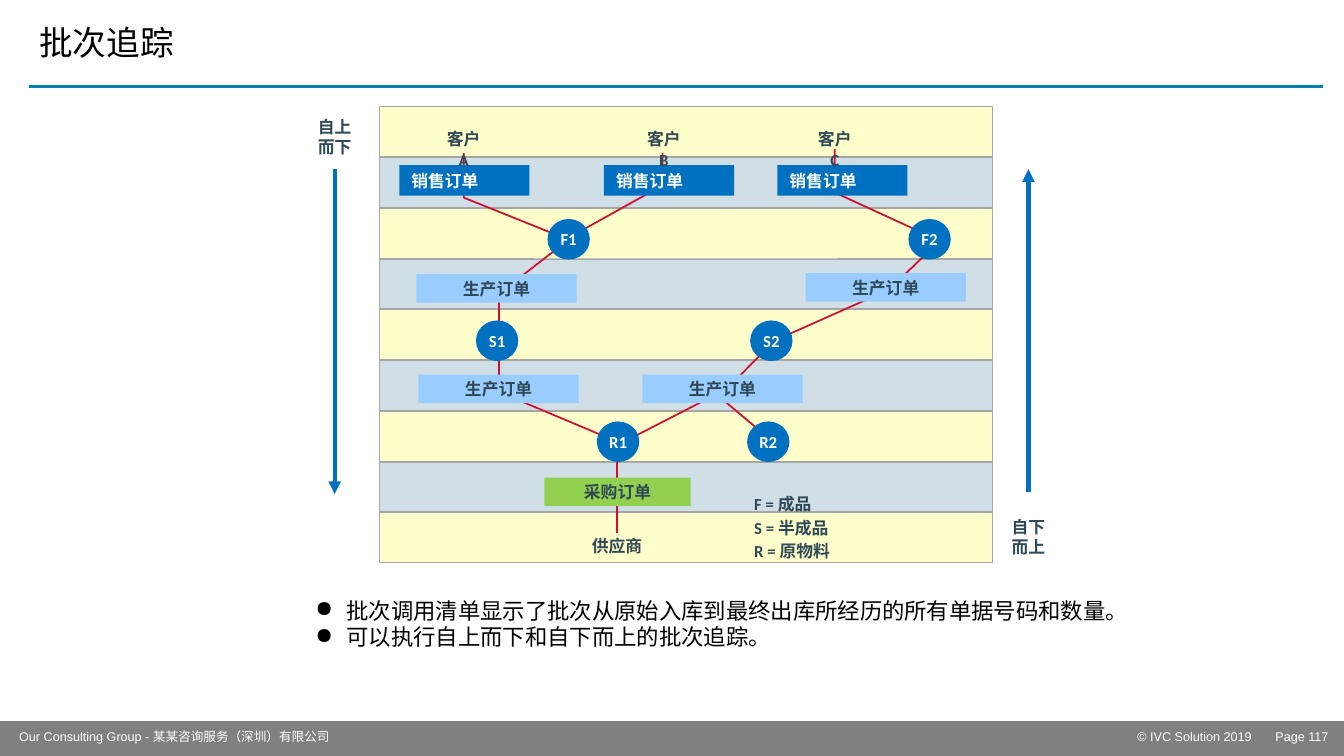
from dataclasses import dataclass

from lxml import etree
from pptx import Presentation
from pptx import util as u
from pptx.dml.color import RGBColor
from pptx.enum import shapes, text
from pptx.oxml.ns import qn

COLORS = {
    "ink": "2F4957", "black": "000000", "white": "FFFFFF", "footer": "808080",
    "rule": "0082B0", "cream": "FFFFCC", "mist": "D0DEE6", "border": "A6A6A6",
    "blue": "0070C0", "sky": "99CCFF", "green": "92D050", "red": "CF0E30",
}
WIDTH, HEIGHT = 13.33, 7.5
BANDS = 9
LEFT, CENTER = text.PP_ALIGN.LEFT, text.PP_ALIGN.CENTER
RECT, OVAL = shapes.MSO_SHAPE.RECTANGLE, shapes.MSO_SHAPE.OVAL


@dataclass(frozen=True)
class Grid:
    left: float
    top: float
    column: float
    row: float

    def point(self, col: float, row: float) -> tuple:
        return u.Inches(self.left + col * self.column), u.Inches(self.top + row * self.row)

    def box(self, col: float, row: float, cols: float, rows: float) -> tuple:
        return *self.point(col, row), u.Inches(cols * self.column), u.Inches(rows * self.row)


PAGE = Grid(0, 0, WIDTH / 100, HEIGHT / 100)  # percent of the slide
TRACE = Grid(3.76, 1.06, 0.25, 4.53 / BANDS)  # one row per band


@dataclass(frozen=True)
class Kind:
    preset: int
    cols: float
    rows: float
    fill: str
    font: str
    align: int = CENTER
    indent: float = 0


@dataclass(frozen=True)
class Step:
    """A document or material: left column and middle row."""
    kind: Kind
    label: str
    col: float
    row: float


@dataclass(frozen=True)
class Caption:
    label: str
    col: float
    row: float
    cols: float
    rows: float = 0.4
    align: int = CENTER
    wrap: bool = True
    gap: float = 0


SALES = Kind(RECT, 5.16, 0.6, "blue", "white", LEFT, 0.12)
PRODUCTION = Kind(RECT, 6.36, 0.56, "sky", "ink")
PURCHASE = Kind(RECT, 5.8, 0.56, "green", "ink")
MATERIAL = Kind(OVAL, 1.68, 0.8, "blue", "white")

STEPS = [
    *(Step(SALES, "销售订单", col, 1.45) for col in (0.8, 8.92, 15.8)),
    Step(MATERIAL, "F1", 6.68, 2.61), Step(MATERIAL, "F2", 21, 2.61),
    Step(PRODUCTION, "生产订单", 1.48, 3.58), Step(PRODUCTION, "生产订单", 16.92, 3.56),
    Step(MATERIAL, "S1", 3.84, 4.61), Step(MATERIAL, "S2", 14.72, 4.61),
    Step(PRODUCTION, "生产订单", 1.56, 5.56), Step(PRODUCTION, "生产订单", 10.44, 5.56),
    Step(MATERIAL, "R1", 8.64, 6.6), Step(MATERIAL, "R2", 14.6, 6.6),
    Step(PURCHASE, "采购订单", 6.56, 7.59),
]
CAPTIONS = [
    Caption("客户 A", 2.48, 0.44, 1.76),
    Caption("客户 B", 10.42, 0.44, 1.76),
    Caption("客户 C", 17.2, 0.44, 1.76),
    Caption("供应商", 8.44, 8.46, 2, wrap=False),
    Caption("自上\n而下", -2.44, 0.2, 1.36, 0.79, wrap=False),
    Caption("自下\n而上", 25.08, 8.07, 1.36, 0.79, wrap=False),
    Caption("F = 成品\nS = 半成品\nR = 原物料", 14.88, 7.63, 8.96, 1.37, LEFT, gap=2.4),
]
TRACES = [
    [(11.24, 0.91), (11.24, 1.55), (7.52, 2.58)],
    [(9.64, 6.62), (13.8, 5.56), (15.68, 4.61), (20.24, 3.6), (22.24, 2.64),
     (18.08, 1.69), (18.08, 0.83)],
    [(9.44, 8.4), (9.44, 6.6), (4.76, 5.62), (4.76, 3.68), (7.52, 2.62),
     (3.36, 1.79), (3.36, 0.91)],
]
FINDINGS = "批次调用清单显示了批次从原始入库到最终出库所经历的所有单据号码和数量。\n可以执行自上而下和自下而上的批次追踪。"


def rgb(name: str) -> RGBColor:
    return RGBColor.from_string(COLORS[name])


def write(frame, words: str, size: float, color: str, align=LEFT, bold=False,
          face="Calibri", east="Calibri", gap: float = 0) -> None:
    frame.text = words
    for index, paragraph in enumerate(frame.paragraphs):
        paragraph.alignment = align
        if gap and index:
            paragraph.space_before = u.Pt(gap)
        for run in paragraph.runs:
            run.font.size, run.font.bold, run.font.name = u.Pt(size), bold, face
            run.font.color.rgb = rgb(color)
            etree.SubElement(run.font._element, qn("a:ea"), typeface=east)


def inset(frame, left: float, top: float, right: float, bottom: float) -> None:
    frame.margin_left, frame.margin_top = u.Inches(left), u.Inches(top)
    frame.margin_right, frame.margin_bottom = u.Inches(right), u.Inches(bottom)


def add_block(slide, preset, box: tuple, fill: str, border: str = ""):
    block = slide.shapes.add_shape(preset, *box)
    block.shadow.inherit = False
    block.fill.solid()
    block.fill.fore_color.rgb = rgb(fill)
    if border:
        block.line.color.rgb = rgb(border)
        block.line.width = u.Pt(0.63)
    else:
        block.line.fill.background()
    return block


def add_line(slide, start: tuple, end: tuple, color: str, width: float, arrow=False) -> None:
    line = slide.shapes.add_connector(shapes.MSO_CONNECTOR.STRAIGHT, *start, *end)
    line.line.color.rgb = rgb(color)
    line.line.width = u.Pt(width)
    if arrow:
        etree.SubElement(line.line._get_or_add_ln(), qn("a:tailEnd"), type="triangle")
    etree.SubElement(line._element.spPr, qn("a:effectLst"))


def add_trace(slide, stops: list) -> None:
    first, *others = [TRACE.point(*stop) for stop in stops]
    builder = slide.shapes.build_freeform(*first)
    builder.add_line_segments(others, close=False)
    trace = builder.convert_to_shape()
    trace.shadow.inherit = False
    trace.fill.background()
    trace.line.color.rgb = rgb("red")
    trace.line.width = u.Pt(1.25)


def add_step(slide, step: Step) -> None:
    kind = step.kind
    box = TRACE.box(step.col, step.row - kind.rows / 2, kind.cols, kind.rows)
    frame = add_block(slide, kind.preset, box, kind.fill).text_frame
    inset(frame, kind.indent, 0, 0, 0)
    frame.word_wrap = False
    frame.vertical_anchor = text.MSO_ANCHOR.MIDDLE
    write(frame, step.label, 12, kind.font, kind.align, bold=True)


def add_caption(slide, caption: Caption) -> None:
    box = TRACE.box(caption.col, caption.row, caption.cols, caption.rows)
    frame = slide.shapes.add_textbox(*box).text_frame
    inset(frame, 0, 0, 0, 0)
    frame.word_wrap = caption.wrap
    write(frame, caption.label, 12, "ink", caption.align, bold=True, gap=caption.gap)


def add_footer(slide, words: str, col: float, tabs: tuple = ()) -> None:
    frame = slide.shapes.add_textbox(*PAGE.box(col, 96.27, 36.9, 2.5)).text_frame
    inset(frame, 0.06, 0.03, 0, 0.03)
    frame.word_wrap = True
    write(frame, words, 9, "white", face="Arial", east="Arial")
    paragraph = frame.paragraphs[0]
    paragraph.line_spacing = 0.85
    if tabs:
        stops = etree.SubElement(paragraph._p.get_or_add_pPr(), qn("a:tabLst"))
        for tab in tabs:
            etree.SubElement(stops, qn("a:tab"), pos=str(u.Inches(tab)), algn="l")


def add_findings(slide) -> None:
    frame = slide.shapes.add_textbox(*PAGE.box(22.73, 78.27, 64.5, 13.73)).text_frame
    frame.word_wrap = True
    write(frame, FINDINGS, 16, "black", face="Noto Sans CJK SC")
    for paragraph in frame.paragraphs:
        props = paragraph._p.get_or_add_pPr()
        props.set("marL", str(u.Inches(0.31)))
        props.set("indent", str(-u.Inches(0.31)))
        etree.SubElement(props, qn("a:buChar"), char="●")


def main() -> None:
    deck = Presentation()
    deck.slide_width, deck.slide_height = u.Inches(WIDTH), u.Inches(HEIGHT)
    slide = deck.slides.add_slide(deck.slide_layouts[5])
    title = slide.shapes.title
    title.left, title.top, title.width, title.height = PAGE.box(2.18, 0, 96.32, 11.2)
    title.text_frame.vertical_anchor = text.MSO_ANCHOR.MIDDLE
    title.text_frame.auto_size = text.MSO_AUTO_SIZE.NONE
    write(title.text_frame, "批次追踪", 24, "black")
    add_line(slide, PAGE.point(2.18, 11.47), PAGE.point(98.43, 11.47), "rule", 2)
    add_block(slide, RECT, PAGE.box(0, 95.4, 100, 4.6), "footer")
    add_footer(slide, "Our Consulting Group - 某某咨询服务（深圳）有限公司", 0.98)
    add_footer(slide, "\t© IVC Solution 2019\tPage 117", 62.42, (2.9, 4.27))
    for band in range(BANDS):
        add_block(slide, RECT, TRACE.box(0, band, 24.32, 0.98),
                  "mist" if band % 2 else "cream", "border")
    for stops in TRACES:
        add_trace(slide, stops)
    add_line(slide, TRACE.point(15.48, 6.54), TRACE.point(13.32, 5.64), "red", 1.25)
    for step in STEPS:
        add_step(slide, step)
    for caption in CAPTIONS:
        add_caption(slide, caption)
    add_line(slide, TRACE.point(-1.76, 1.23), TRACE.point(-1.76, 7.63), "blue", 3, arrow=True)
    add_line(slide, TRACE.point(25.76, 7.59), TRACE.point(25.76, 1.23), "blue", 3, arrow=True)
    add_findings(slide)
    deck.save("out.pptx")


if __name__ == "__main__":
    main()
